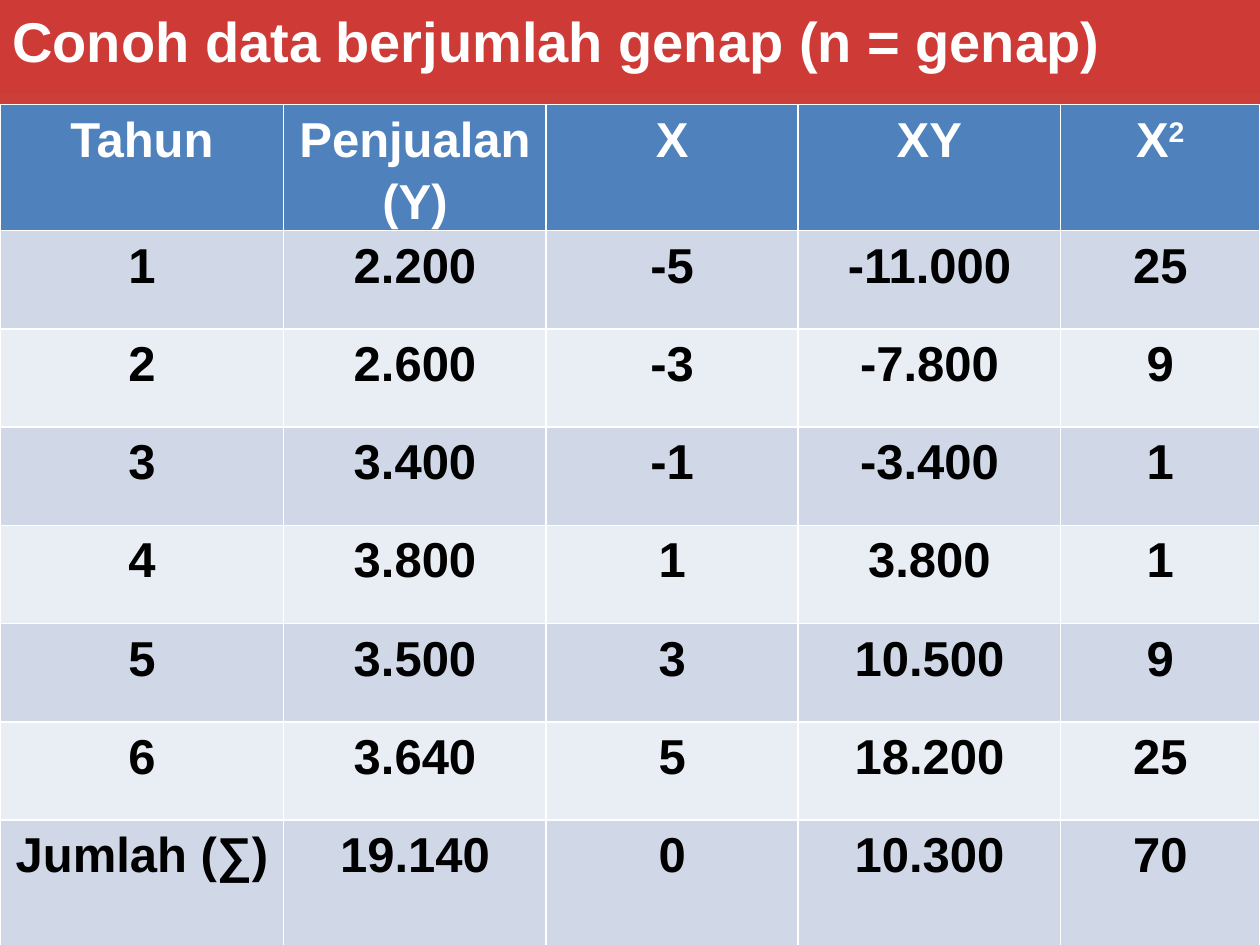
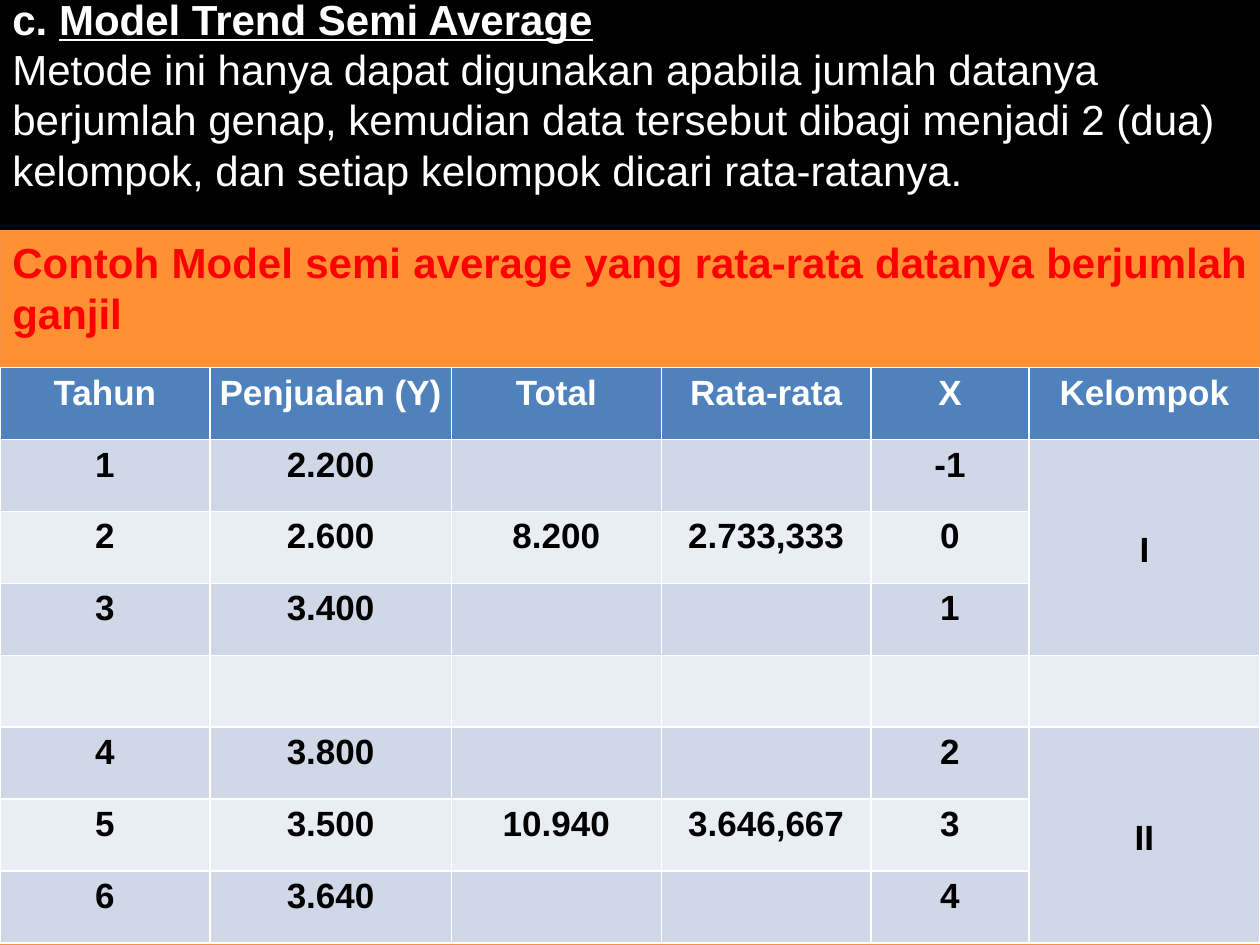
"""Build two slides on sales trends: least squares and semi average tables."""
from copy import deepcopy

from pptx import Presentation
from pptx.dml.color import RGBColor
from pptx.enum.shapes import MSO_SHAPE
from pptx.enum.text import MSO_ANCHOR, PP_ALIGN
from pptx.oxml.ns import qn
from pptx.util import Cm, Pt

RECTANGLE = MSO_SHAPE.RECTANGLE
TOP, MIDDLE = MSO_ANCHOR.TOP, MSO_ANCHOR.MIDDLE
LEFT, CENTER, JUSTIFY = PP_ALIGN.LEFT, PP_ALIGN.CENTER, PP_ALIGN.JUSTIFY

WHITE = RGBColor(0xFF, 0xFF, 0xFF)
BLACK = RGBColor(0, 0, 0)
RED = RGBColor(0xFF, 0, 0)
HEADER_BLUE = RGBColor(0x4F, 0x81, 0xBD)
BAND_COLORS = (RGBColor(0xE9, 0xED, 0xF4), RGBColor(0xD0, 0xD8, 0xE8))
ORANGE_LINE = RGBColor(0xF6, 0x92, 0x40)
RED_BLEND = ((0, RGBColor(0x9C, 0x2F, 0x2D)), (0.8, RGBColor(0xCB, 0x3E, 0x3A)),
             (1, RGBColor(0xCE, 0x3B, 0x37)))
ORANGE_BLEND = ((0, RGBColor(0xCC, 0x6E, 0x20)), (0.8, RGBColor(0xFF, 0x90, 0x34)),
                (1, RGBColor(0xFF, 0x91, 0x36)))
FONT = "Arial"
PAGE_WIDTH, PAGE_HEIGHT = Cm(25.4), Cm(19.05)

EVEN_TITLE = "Conoh data berjumlah genap (n = genap)"
EVEN_ROWS = [
    ("Tahun", "Penjualan (Y)", "X", "XY", [("X", {}), ("2", {"raised": True})]),
    ("1", "2.200", "-5", "-11.000", "25"),
    ("2", "2.600", "-3", "-7.800", "9"),
    ("3", "3.400", "-1", "-3.400", "1"),
    ("4", "3.800", "1", "3.800", "1"),
    ("5", "3.500", "3", "10.500", "9"),
    ("6", "3.640", "5", "18.200", "25"),
    ("Jumlah (∑)", "19.140", "0", "10.300", "70"),
]
EVEN_WIDTHS = (5.72, 5.29, 5.08, 5.29, 4.02)
EVEN_HEIGHTS = (2.54, *[1.98] * 6, 2.54)

SEMI_INTRO = [
    [("c. ", {}), ("Model Trend Semi Average", {"underline": True})],
    [("Metode ini hanya dapat digunakan apabila jumlah datanya berjumlah genap, "
      "kemudian data tersebut dibagi menjadi 2 (dua) kelompok, dan setiap kelompok "
      "dicari rata-ratanya.", {"bold": False})],
]
SEMI_TITLE = "Contoh Model semi average yang rata-rata datanya berjumlah ganjil"
SEMI_ROWS = [
    ("Tahun", "Penjualan (Y)", "Total", "Rata-rata", "X", "Kelompok"),
    ("1", "2.200", "", "", "-1", "I"),
    ("2", "2.600", "8.200", "2.733,333", "0", ""),
    ("3", "3.400", "", "", "1", ""),
    ("", "", "", "", "", ""),
    ("4", "3.800", "", "", "2", "II"),
    ("5", "3.500", "10.940", "3.646,667", "3", ""),
    ("6", "3.640", "", "", "4", ""),
]
SEMI_WIDTHS = (4.23, 4.87, 4.23, 4.23, 3.18, 4.66)
SEMI_HEIGHTS = [1.45] * len(SEMI_ROWS)
GROUP_COLUMN, GROUP_STARTS, GROUP_SIZE = 5, (1, 5), 3


def write(frame, content, size, color, align=LEFT, spacing=None):
    """Fill a frame with a string or with paragraphs made of formatted spans."""
    paragraphs = [[(content, {})]] if isinstance(content, str) else content
    frame.word_wrap = True
    for index, spans in enumerate(paragraphs):
        para = frame.add_paragraph() if index else frame.paragraphs[0]
        para.alignment = align
        para.line_spacing = spacing
        for text, style in spans:
            span = para.add_run()
            span.text = text
            font = span.font
            font.name, font.size = FONT, Pt(size)
            font.bold = style.get("bold", True)
            font.underline = style.get("underline", False)
            font.color.rgb = color
            if style.get("raised"):
                span._r.get_or_add_rPr().set("baseline", "30000")


def blend(shape, stops):
    """Give a shape a gradient that rises from the bottom edge."""
    shape.fill.gradient()
    shape.fill.gradient_angle = 90
    stop_list = shape._element.spPr.find(".//" + qn("a:gsLst"))
    stop_list.insert(1, deepcopy(stop_list[0]))
    for stop, (position, color) in zip(shape.fill.gradient_stops, stops):
        stop.position = position
        stop.color.rgb = color


def add_band(page, top, height, anchor=TOP):
    """Add a full-width rectangle without line or shadow."""
    band = page.shapes.add_shape(RECTANGLE, 0, top, PAGE_WIDTH, height)
    band.shadow.inherit = False
    band.line.fill.background()
    band.text_frame.vertical_anchor = anchor
    return band


def add_data_table(page, rows, widths, heights, top, size):
    """Add a full-width table with a blue header and banded rows."""
    table = page.shapes.add_table(len(rows), len(widths), 0, top, PAGE_WIDTH,
                                  Cm(sum(heights))).table
    for column, width in zip(table.columns, widths):
        column.width = Cm(width)
    for index, (row, height) in enumerate(zip(rows, heights)):
        table.rows[index].height = Cm(height)
        for cell, content in zip(table.rows[index].cells, row):
            cell.fill.solid()
            cell.fill.fore_color.rgb = BAND_COLORS[index % 2] if index else HEADER_BLUE
            cell.margin_left = cell.margin_right = Cm(0.18)
            cell.margin_top = cell.margin_bottom = 0
            if content:
                paragraphs = content if isinstance(content, str) else [content]
                write(cell.text_frame, paragraphs, size, BLACK if index else WHITE,
                      align=CENTER, spacing=1.15)
    return table


deck = Presentation()
deck.slide_width, deck.slide_height = PAGE_WIDTH, PAGE_HEIGHT
blank = deck.slide_layouts[6]

page = deck.slides.add_slide(blank)
backdrop = add_band(page, 0, PAGE_HEIGHT)
blend(backdrop, RED_BLEND)
write(backdrop.text_frame, EVEN_TITLE, 32, WHITE, align=JUSTIFY)
add_data_table(page, EVEN_ROWS, EVEN_WIDTHS, EVEN_HEIGHTS, Cm(2.11), 28)

page = deck.slides.add_slide(blank)
intro_height = Cm(4.65)
intro = add_band(page, 0, intro_height, anchor=MIDDLE)
intro.fill.solid()
intro.fill.fore_color.rgb = BLACK
intro.text_frame.margin_top, intro.text_frame.margin_bottom = 0, Cm(0.86)
write(intro.text_frame, SEMI_INTRO, 24, WHITE)
backdrop = add_band(page, intro_height, PAGE_HEIGHT - intro_height)
blend(backdrop, ORANGE_BLEND)
backdrop.line.color.rgb = ORANGE_LINE
backdrop.line.width = Pt(0.75)
write(backdrop.text_frame, SEMI_TITLE, 24, RED, align=JUSTIFY)
table = add_data_table(page, SEMI_ROWS, SEMI_WIDTHS, SEMI_HEIGHTS, Cm(7.41), 20)
for start in GROUP_STARTS:
    group = table.cell(start, GROUP_COLUMN)
    group.merge(table.cell(start + GROUP_SIZE - 1, GROUP_COLUMN))
    group.vertical_anchor = MIDDLE

deck.save("out.pptx")
